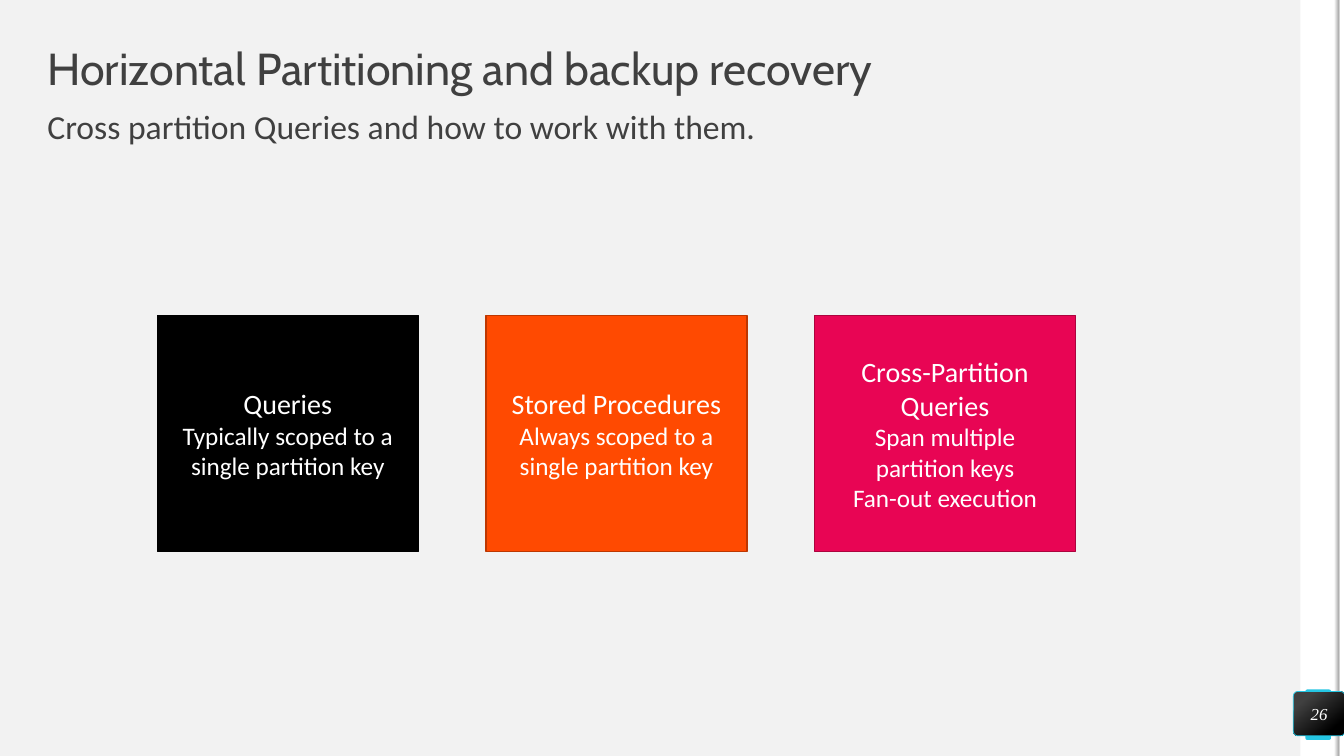
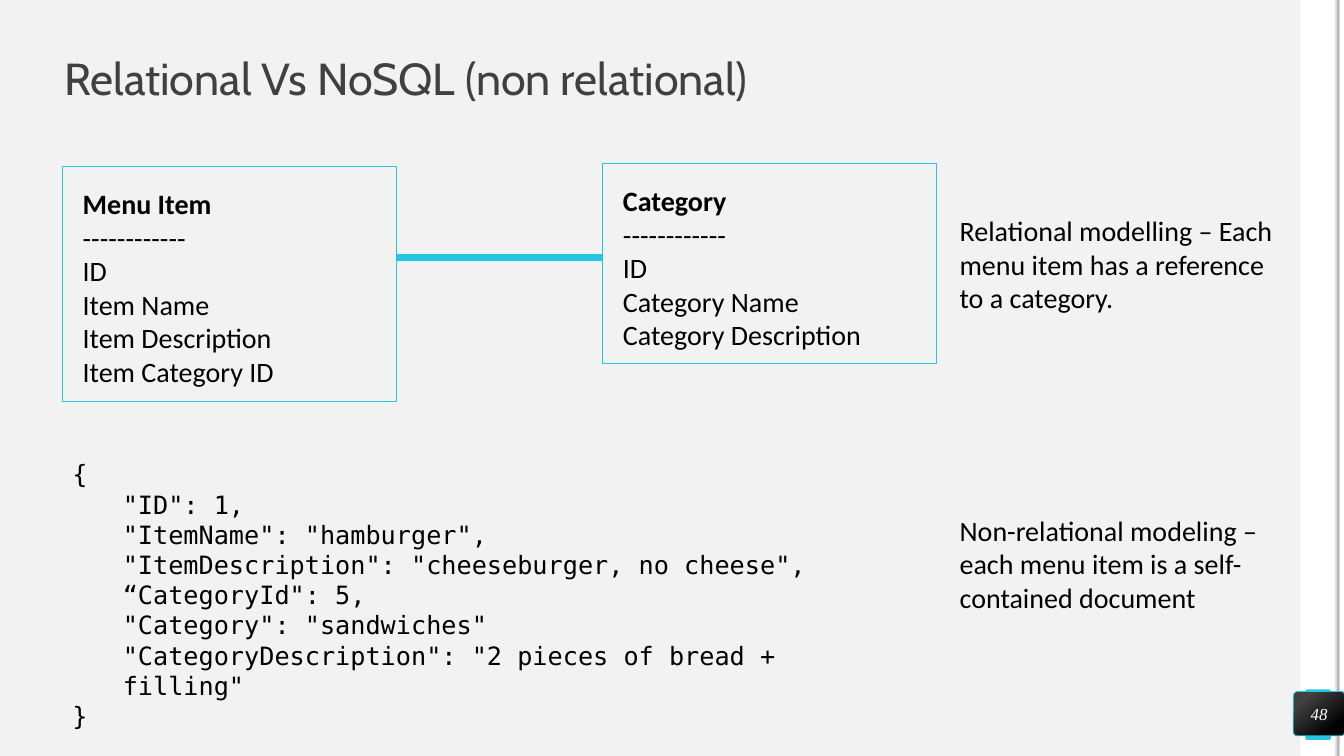
from dataclasses import dataclass

from lxml.etree import SubElement
from pptx import Presentation
from pptx.dml.color import RGBColor
from pptx.enum.shapes import MSO_CONNECTOR, MSO_SHAPE
from pptx.enum.text import MSO_ANCHOR as Anchor, PP_ALIGN as Align
from pptx.oxml.ns import qn
from pptx.util import Inches, Pt


@dataclass(frozen=True)
class Theme:
    background: str = "F2F2F2"
    white: str = "FFFFFF"
    black: str = "000000"
    heading: str = "404040"
    edge: str = "A6A6A6"
    accent: str = "25C6E3"
    orange: str = "FF4A01"
    orange_line: str = "BD3701"
    pink: str = "E80554"
    pink_line: str = "AC043E"
    title_font: str = "Cabin"
    body_font: str = "Calibri"
    code_font: str = "DejaVu Sans Mono"
    number_font: str = "Times New Roman"
    title_size: int = 32
    subtitle_size: int = 24
    body_size: int = 20
    small_size: int = 18
    number_size: int = 12


THEME = Theme()
NO_INSETS = (0, 0, 0, 0)
TEXT_INSETS = (0.1, 0.05, 0.1, 0.05)


class Deck:
    """Draws on a grid of 100 columns by 100 rows; areas are (x, y, width, height)."""

    def __init__(self):
        self.presentation = Presentation()
        self.presentation.slide_width = Inches(13.33)
        self.presentation.slide_height = Inches(7.5)
        self.slide = None

    def columns(self, count):
        return round(self.presentation.slide_width * count / 100)

    def rows(self, count):
        return round(self.presentation.slide_height * count / 100)

    def place(self, area):
        x, y, width, height = area
        return self.columns(x), self.rows(y), self.columns(width), self.rows(height)

    def new_slide(self, number):
        """Add a slide with the right-hand band and the page number badge."""
        self.slide = self.presentation.slides.add_slide(self.presentation.slide_layouts[6])
        background = self.slide.background.fill
        background.solid()
        background.fore_color.rgb = RGBColor.from_string(THEME.background)

        self.box((96.75, 0, 2.95, 100), THEME.white)
        self.box((97.13, 91.2, 1.9, 6.67), THEME.accent, corner=0.07)
        self.box((99.64, 0, 0.38, 100), THEME.white)
        edge = self.box((99.26, 0, 0.38, 100))
        self.gradient(edge, 0, (0, THEME.white), (1, THEME.edge))

        badge = self.box((96.23, 91.47, 3.83, 5.87), line=THEME.accent,
                         line_width=0.5, corner=0.1)
        self.gradient(badge, 310, (0.2, THEME.heading), (0.82, THEME.black))
        self.frame(badge, NO_INSETS, Anchor.MIDDLE)
        paragraph = self.add_lines(badge, [str(number)], THEME.number_font,
                                   THEME.number_size, THEME.white, Align.CENTER)[0]
        paragraph.font.italic = True

    def box(self, area, fill=None, line=None, line_width=1, corner=None):
        kind = MSO_SHAPE.RECTANGLE if corner is None else MSO_SHAPE.ROUNDED_RECTANGLE
        shape = self.slide.shapes.add_shape(kind, *self.place(area))
        shape.shadow.inherit = False
        if corner is not None:
            shape.adjustments[0] = corner
        if fill:
            shape.fill.solid()
            shape.fill.fore_color.rgb = RGBColor.from_string(fill)
        else:
            shape.fill.background()
        if line:
            shape.line.color.rgb = RGBColor.from_string(line)
            shape.line.width = Pt(line_width)
        else:
            shape.line.fill.background()
        return shape

    def gradient(self, shape, angle, *stops):
        shape.fill.gradient()
        shape.fill.gradient_angle = angle
        for stop, (position, color) in zip(shape.fill.gradient_stops, stops):
            stop.position = position
            stop.color.rgb = RGBColor.from_string(color)

    def frame(self, shape, insets, anchor):
        frame = shape.text_frame
        frame.word_wrap = True
        frame.vertical_anchor = anchor
        (frame.margin_left, frame.margin_top,
         frame.margin_right, frame.margin_bottom) = map(Inches, insets)

    def add_lines(self, shape, lines, font, size, color, align=Align.LEFT):
        """Add one paragraph per line and return the paragraphs."""
        frame = shape.text_frame
        for index, line in enumerate(lines):
            paragraph = frame.add_paragraph() if index else frame.paragraphs[0]
            paragraph.text = line
            paragraph.alignment = align
            paragraph.font.name = font
            paragraph.font.size = Pt(size)
            paragraph.font.color.rgb = RGBColor.from_string(color)
        return frame.paragraphs

    def text(self, area, lines, font=THEME.body_font, size=THEME.body_size,
             color=THEME.black, insets=NO_INSETS, anchor=Anchor.TOP):
        shape = self.slide.shapes.add_textbox(*self.place(area))
        self.frame(shape, insets, anchor)
        return self.add_lines(shape, lines, font, size, color)

    def title(self, area, words):
        paragraph = self.text(area, [words], THEME.title_font, THEME.title_size,
                              THEME.heading, anchor=Anchor.MIDDLE)[0]
        paragraph.line_spacing = 0.9

    def subtitle(self, area, words):
        paragraph = self.text(area, [words], size=THEME.subtitle_size,
                              color=THEME.heading)[0]
        paragraph.line_spacing = 0.9

    def card(self, area, fill, line, heading, details):
        shape = self.box(area, fill, line)
        self.frame(shape, TEXT_INSETS, Anchor.MIDDLE)
        paragraphs = self.add_lines(shape, heading + details, THEME.body_font,
                                    THEME.small_size, THEME.white, Align.CENTER)
        for paragraph in paragraphs[:len(heading)]:
            paragraph.font.size = Pt(THEME.body_size)

    def entity(self, area, name, fields):
        shape = self.box(area, line=THEME.accent, line_width=0.75)
        self.frame(shape, (0.2, 0.2, 0, 0), Anchor.TOP)
        paragraphs = self.add_lines(shape, [name, "------------", *fields],
                                    THEME.body_font, THEME.body_size, THEME.black)
        paragraphs[0].font.bold = True

    def link(self, start, end, y):
        connector = self.slide.shapes.add_connector(
            MSO_CONNECTOR.STRAIGHT, self.columns(start), self.rows(y),
            self.columns(end), self.rows(y))
        connector.line.color.rgb = RGBColor.from_string(THEME.accent)
        connector.line.width = Pt(5)
        SubElement(connector._element.spPr, qn("a:effectLst"))

    def code(self, area, lines):
        """Add code whose inner lines are indented one level."""
        paragraphs = self.text(area, lines, THEME.code_font, THEME.small_size,
                               insets=TEXT_INSETS)
        for paragraph in paragraphs[1:-1]:
            properties = paragraph._p.get_or_add_pPr()
            properties.set("marL", str(Inches(0.5)))
            properties.set("indent", "0")


def partitioning_slide(deck):
    deck.new_slide(26)
    deck.title((3.53, 6.27, 92.9, 6.27), "Horizontal Partitioning and backup recovery")
    deck.subtitle((3.53, 14.67, 93, 5.2),
                  "Cross partition Queries and how to work with them.")
    cards = [
        (THEME.black, THEME.black, ["Queries"],
         ["Typically scoped to a", "single partition key"]),
        (THEME.orange, THEME.orange_line, ["Stored Procedures"],
         ["Always scoped to a", "single partition key"]),
        (THEME.pink, THEME.pink_line, ["Cross-Partition", "Queries"],
         ["Span multiple", "partition keys", "Fan-out execution"]),
    ]
    for index, card in enumerate(cards):
        deck.card((11.7 + 24.45 * index, 41.73, 19.43, 31.2), *card)


def modelling_slide(deck):
    deck.new_slide(48)
    deck.title((4.8, 6.67, 90.4, 8.13), "Relational Vs NoSQL (non relational)")

    left, right, width = 4.65, 44.85, 24.83
    deck.entity((left, 22, width, 31.07), "Menu Item",
                ["ID", "Item Name", "Item Description", "Item Category ID"])
    deck.entity((right, 21.6, width, 26.53), "Category",
                ["ID", "Category Name", "Category Description"])
    deck.link(left + width, right, 34.07)

    deck.code((left, 60, 61.35, 33.6), [
        '{',
        '"ID": 1,',
        '"ItemName": "hamburger",',
        '"ItemDescription": "cheeseburger, no cheese",',
        '“CategoryId": 5,',
        '"Category": "sandwiches"',
        '"CategoryDescription": "2 pieces of bread + filling"',
        '}',
    ])
    deck.text((71.4, 28.27, 24.83, 13.47),
              ["Relational modelling – Each menu item has a reference to a category."])
    deck.text((71.4, 67.87, 23.85, 13.47),
              ["Non-relational modeling – each menu item is a self-contained document"])


def main():
    deck = Deck()
    partitioning_slide(deck)
    modelling_slide(deck)
    deck.presentation.save("out.pptx")


if __name__ == "__main__":
    main()
